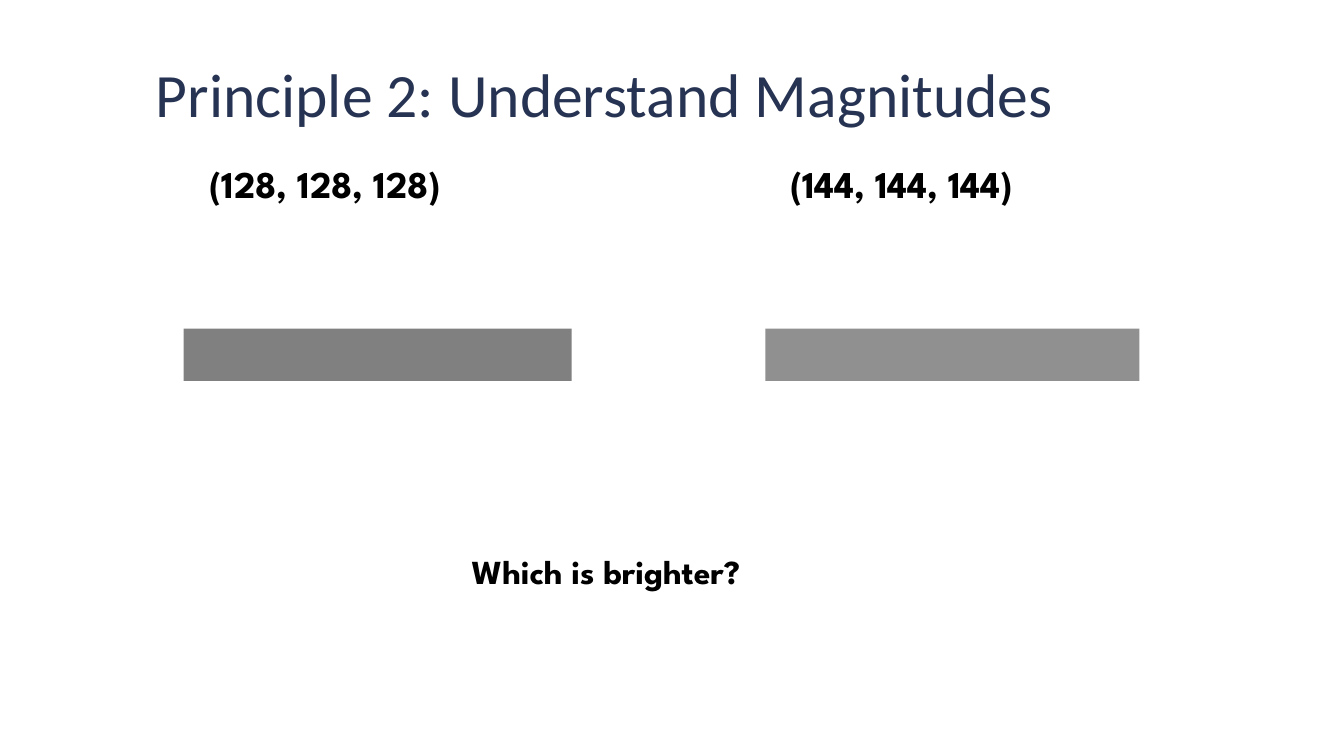
from dataclasses import dataclass

from pptx import Presentation
from pptx.dml.color import RGBColor
from pptx.enum.shapes import MSO_SHAPE
from pptx.enum.text import MSO_ANCHOR, PP_ALIGN
from pptx.util import Inches, Pt


@dataclass(frozen=True)
class Theme:
    navy: RGBColor = RGBColor(0x27, 0x33, 0x52)
    black: RGBColor = RGBColor(0, 0, 0)
    head: str = "Calibri"
    body: str = "League Spartan"
    title: int = 44
    value: int = 27
    ask: int = 24


THEME = Theme()


def add_run(para, text, font, size, color, bold=False):
    run = para.add_run()
    run.text = text
    run.font.name = font
    run.font.size = Pt(size)
    run.font.color.rgb = color
    run.font.bold = bold


def set_title(slide, text):
    title = slide.shapes.title
    title.left, title.top = Inches(0), Inches(0.3)
    title.width, title.height = Inches(12), Inches(1.25)
    frame = title.text_frame
    frame.vertical_anchor = MSO_ANCHOR.MIDDLE
    para = frame.paragraphs[0]
    para.alignment = PP_ALIGN.CENTER
    add_run(para, text, THEME.head, THEME.title, THEME.navy)


def add_label(slide, text, left, top, width, height, size):
    box = slide.shapes.add_textbox(
        Inches(left), Inches(top), Inches(width), Inches(height))
    frame = box.text_frame
    frame.word_wrap = True
    add_run(frame.paragraphs[0], text, THEME.body, size, THEME.black, True)


def add_swatch(slide, gray, left, width):
    bar = slide.shapes.add_shape(
        MSO_SHAPE.RECTANGLE,
        Inches(left), Inches(3.26), Inches(width), Inches(0.52))
    bar.shadow.inherit = False
    bar.fill.solid()
    bar.fill.fore_color.rgb = RGBColor(gray, gray, gray)
    bar.line.fill.background()


def main():
    prs = Presentation()
    prs.slide_width, prs.slide_height = Inches(13.33), Inches(7.5)
    slide = prs.slides.add_slide(prs.slide_layouts[5])

    set_title(slide, "Principle 2: Understand Magnitudes")

    # Gray swatches, each under its RGB value
    swatches = [(128, 1.82, 3.85, 1.98), (144, 7.59, 3.71, 7.74)]
    for gray, left, width, label in swatches:
        add_swatch(slide, gray, left, width)
        add_label(slide, f"({gray}, {gray}, {gray})",
                  label, 1.55, 2.77, 0.56, THEME.value)

    # Question
    add_label(slide, "Which is brighter?", 4.58, 5.42, 3.16, 0.5, THEME.ask)

    prs.save("out.pptx")


if __name__ == "__main__":
    main()
